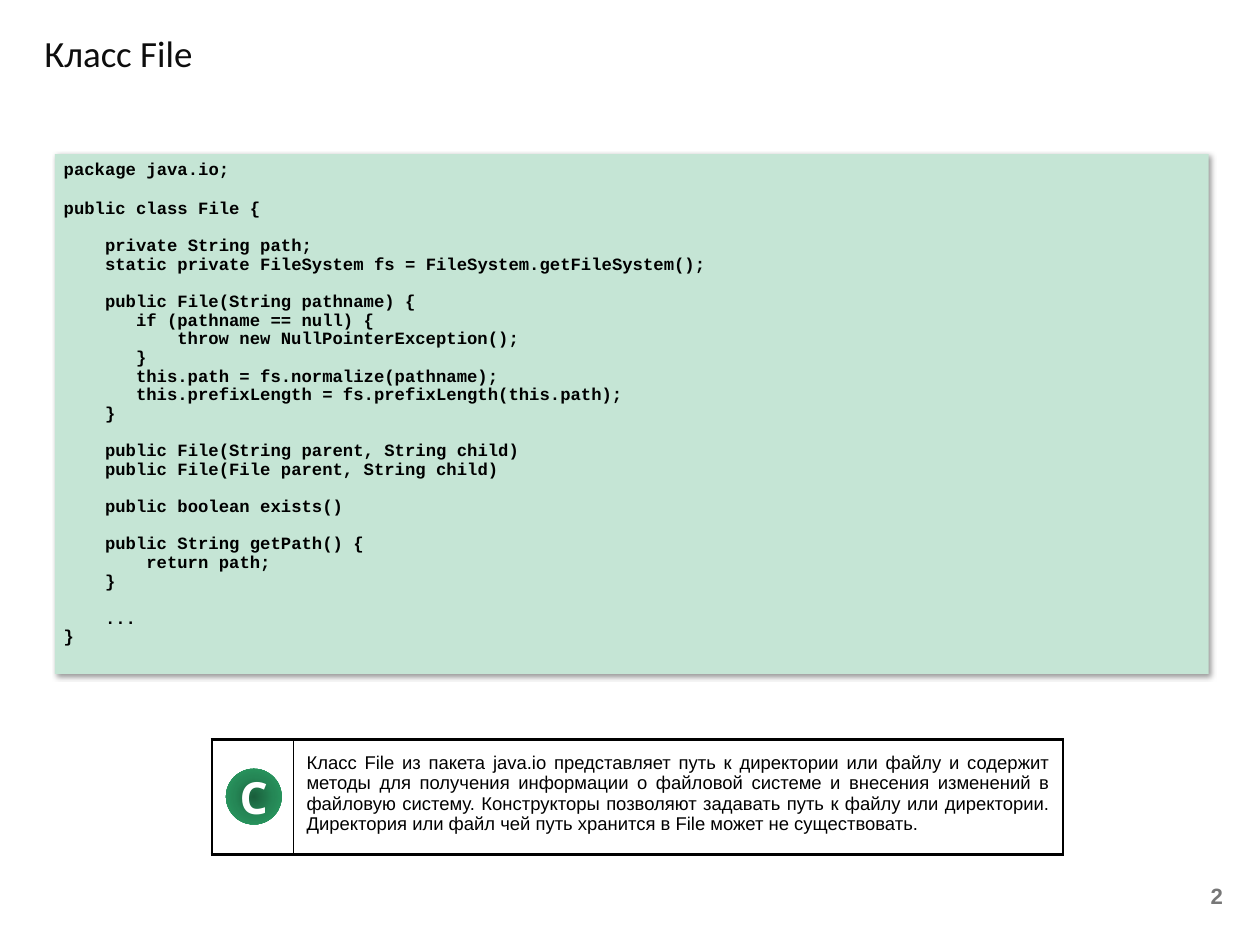
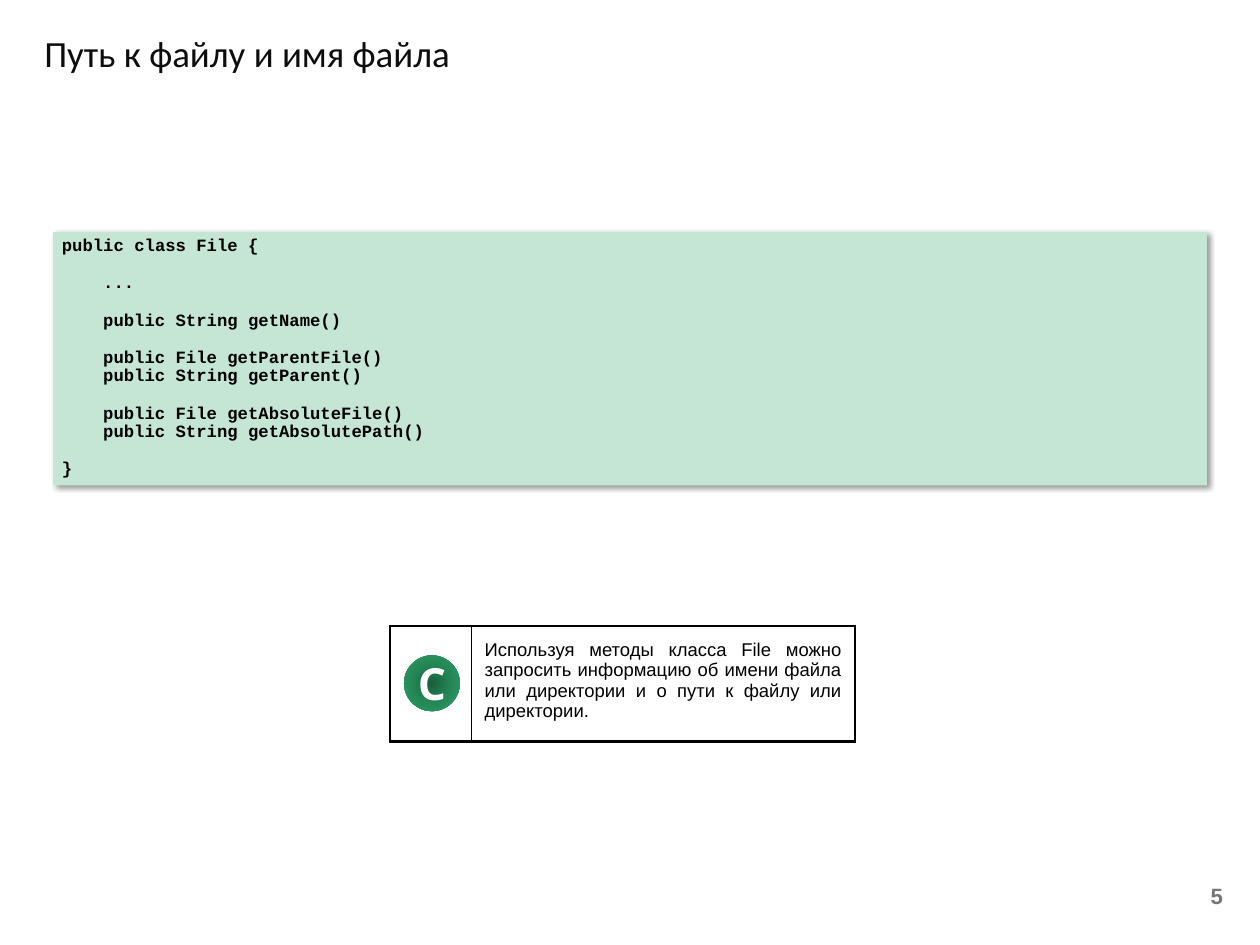
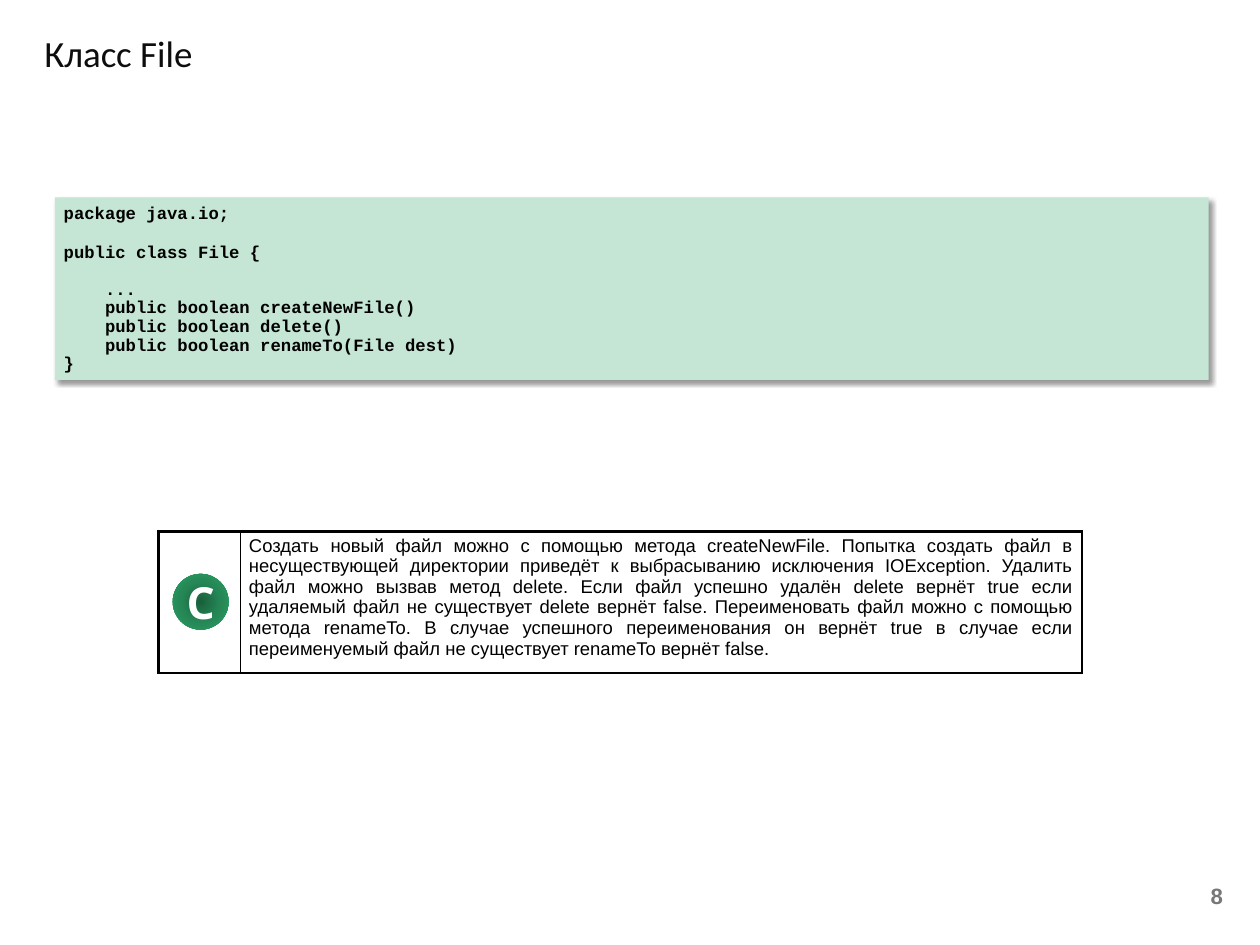
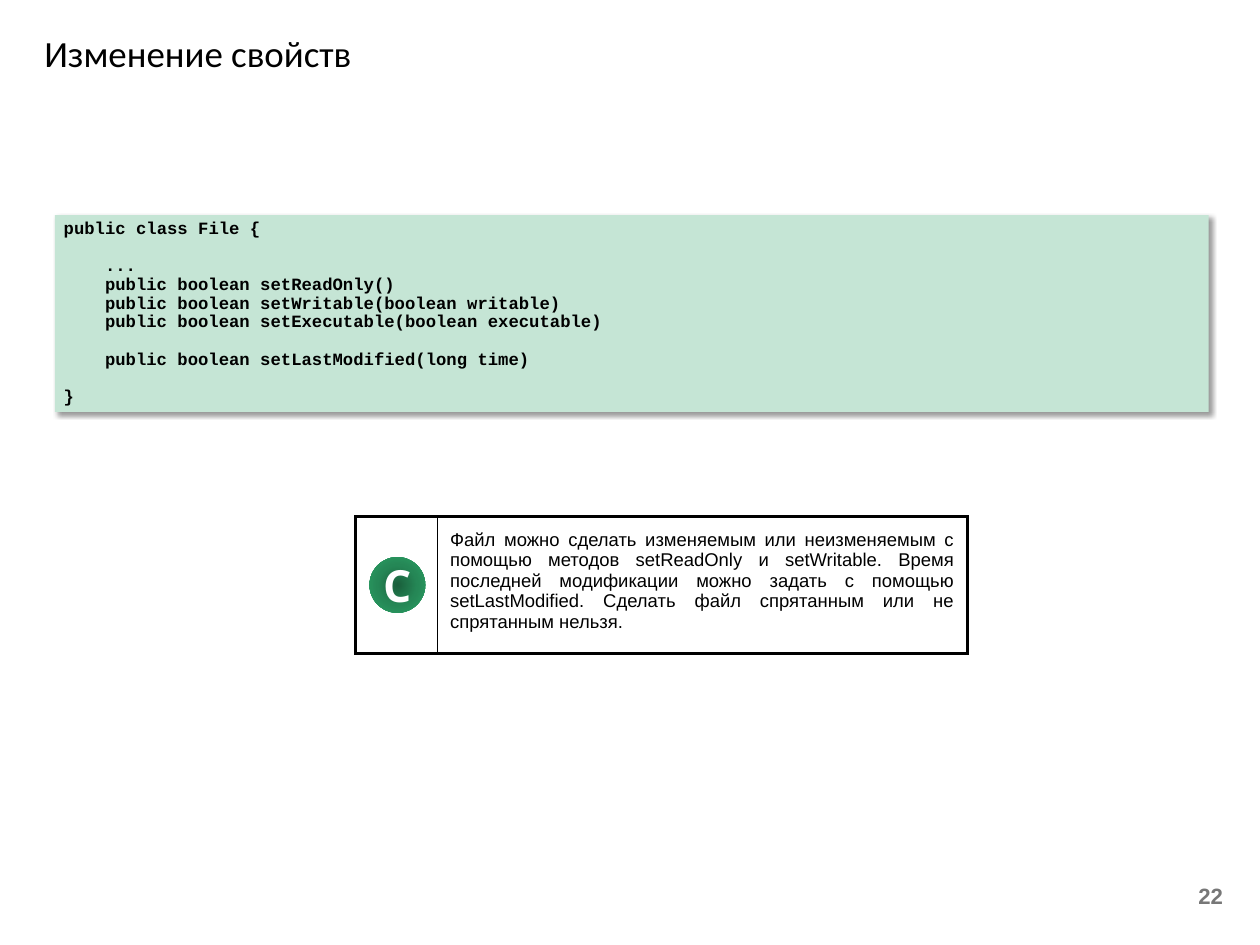
from pptx import Presentation
from pptx.dml.color import RGBColor
from pptx.enum.shapes import MSO_SHAPE as Shape
from pptx.enum.text import MSO_ANCHOR as Anchor, PP_ALIGN as Align
from pptx.oxml import parse_xml
from pptx.oxml.ns import nsdecls, qn
from pptx.util import Emu, Pt

SCALE = 9144  # EMU in one px, 100 px to the inch
COLORS = {
    "black": "000000", "title": "0D0D0D", "white": "FFFFFF", "number": "777777",
    "code": "C5E5D5", "dark": "1A5F3C", "middle": "258756", "light": "2BA166",
}
CODE_LINE = 15.15  # points from one code line to the next
CODE_CHAR = 8.4    # width of one code character, points
ICON_COLUMN, ICON_SIZE = 92, 63


def px(*lengths):
    return [Emu(length * SCALE) for length in lengths]


def rgb(name):
    return RGBColor.from_string(COLORS[name])


def write(para, text, font="Arial", size=15, color="black", bold=False, align=Align.LEFT):
    para.alignment = align
    span = para.add_run()
    span.text = text
    span.font.name, span.font.size, span.font.bold = font, Pt(size), bold
    span.font.color.rgb = rgb(color)


def set_insets(item, side, top):
    item.margin_left = item.margin_right = px(side)[0]
    item.margin_top = item.margin_bottom = px(top)[0]


def set_borders(cell, **widths):
    for side in "LRTB":
        cell._tc.get_or_add_tcPr().append(parse_xml(
            f'<a:ln{side} {nsdecls("a")} w="{Pt(widths[side])}"><a:solidFill>'
            f'<a:srgbClr val="{COLORS["black"]}"/></a:solidFill></a:ln{side}>'))


class Lesson:
    """Holds the deck, its shared style and the current page."""

    def __init__(self):
        self.deck = Presentation()
        self.deck.slide_width, self.deck.slide_height = px(1422, 1067)
        self.page = None

    def start(self, title, number, color="title"):
        self.page = self.deck.slides.add_slide(self.deck.slide_layouts[5])
        self.page.background.fill.solid()
        self.page.background.fill.fore_color.rgb = rgb("white")
        box = self.page.shapes.title
        box.left, box.top, box.width, box.height = px(40, 30, 1103, 63)
        box.text_frame.vertical_anchor = Anchor.TOP
        write(box.text_frame.paragraphs[0], title, font="Calibri", size=30, color=color)
        # page number
        frame = self.page.shapes.add_textbox(*px(1058, 985, 332, 53)).text_frame
        frame.word_wrap = True
        frame.vertical_anchor = Anchor.MIDDLE
        write(frame.paragraphs[0], str(number), size=18, color="number", bold=True,
              align=Align.RIGHT)

    def shape(self, kind, left, top, width, height, fill):
        box = self.page.shapes.add_shape(kind, *px(left, top, width, height))
        box.fill.solid()
        box.fill.fore_color.rgb = rgb(fill)
        box.line.fill.background()
        box.shadow.inherit = False
        return box

    def code(self, left, top, height, listing):
        """Indents become paragraph margins, empty lines become space before."""
        box = self.shape(Shape.RECTANGLE, left, top, 1302, height, "code")
        box._element.spPr.find(qn("a:effectLst")).append(parse_xml(
            f'<a:outerShdw {nsdecls("a")} blurRad="{Pt(4)}" dist="{Pt(3)}" dir="2700000" '
            f'algn="tl" rotWithShape="0"><a:srgbClr val="{COLORS["black"]}">'
            '<a:alpha val="40000"/></a:srgbClr></a:outerShdw>'))
        frame = box.text_frame
        frame.word_wrap = True
        frame.vertical_anchor = Anchor.TOP
        para, gap = None, 0
        for line in listing.strip().splitlines():
            text = line.strip()
            if not text:
                gap += CODE_LINE
                continue
            para = frame.add_paragraph() if para else frame.paragraphs[0]
            para.line_spacing, para.space_before = Pt(CODE_LINE), Pt(gap)
            gap = 0
            if text.startswith("package"):
                para.line_spacing, gap = 1.0, 1.4
            properties = para._p.get_or_add_pPr()
            properties.set("marL", str(Pt((len(line) - len(text)) * CODE_CHAR)))
            properties.set("indent", "0")
            write(para, text, font="Courier New", size=14, bold=True)

    def note(self, left, top, width, height, text, insets=(15, 15)):
        """A two-cell table: the class icon and its explanation."""
        holder = self.page.shapes.add_table(1, 2, *px(left, top, width, height))
        table = holder.table
        table.first_row = table.horz_banding = False
        table.columns[0].width, table.columns[1].width = px(ICON_COLUMN, width - ICON_COLUMN)
        icon_cell, text_cell = table.cell(0, 0), table.cell(0, 1)
        set_borders(icon_cell, L=2.25, R=0.5, T=2.25, B=2.25)
        set_borders(text_cell, L=0.5, R=2.25, T=2.25, B=2.25)
        for cell in (icon_cell, text_cell):
            cell.fill.solid()
            cell.fill.fore_color.rgb = rgb("white")
        set_insets(text_cell, *insets)
        write(text_cell.text_frame.paragraphs[0], text, align=Align.JUSTIFY)
        self.icon(left + 16, top + (height - ICON_SIZE) // 2)

    def icon(self, left, top):
        ball = self.shape(Shape.OVAL, left, top, ICON_SIZE, ICON_SIZE, "middle")
        stops = "".join(
            f'<a:gs pos="{place}"><a:srgbClr val="{COLORS[name]}"/></a:gs>'
            for place, name in ((0, "dark"), (50000, "middle"), (100000, "light")))
        properties = ball._element.spPr
        properties.replace(properties.find(qn("a:solidFill")), parse_xml(
            f'<a:gradFill {nsdecls("a")} rotWithShape="1"><a:gsLst>{stops}</a:gsLst>'
            '<a:path path="circle"><a:fillToRect l="50000" t="50000" r="50000" b="50000"/>'
            '</a:path></a:gradFill>'))
        frame = ball.text_frame
        set_insets(frame, 0, 0)
        frame.word_wrap = False
        frame.vertical_anchor = Anchor.MIDDLE
        write(frame.paragraphs[0], "C", font="Open Sans", size=36, color="white", bold=True,
              align=Align.CENTER)


FILE_CLASS = """
package java.io;

public class File {

    private String path;
    static private FileSystem fs = FileSystem.getFileSystem();

    public File(String pathname) {
       if (pathname == null) {
           throw new NullPointerException();
       }
       this.path = fs.normalize(pathname);
       this.prefixLength = fs.prefixLength(this.path);
    }

    public File(String parent, String child)
    public File(File parent, String child)

    public boolean exists()

    public String getPath() {
        return path;
    }

    ...
}
"""

NAME_METHODS = """
public class File {

    ...

    public String getName()

    public File getParentFile()
    public String getParent()

    public File getAbsoluteFile()
    public String getAbsolutePath()

}
"""

CHANGE_METHODS = """
package java.io;

public class File {

    ...
    public boolean createNewFile()
    public boolean delete()
    public boolean renameTo(File dest)
}
"""

PROPERTY_METHODS = """
public class File {

    ...
    public boolean setReadOnly()
    public boolean setWritable(boolean writable)
    public boolean setExecutable(boolean executable)

    public boolean setLastModified(long time)

}
"""


def main():
    lesson = Lesson()

    # The File class
    lesson.start("Класс File", 2)
    lesson.code(62, 174, 587, FILE_CLASS)
    lesson.note(239, 835, 961, 130,
                "Класс File из пакета java.io представляет путь к директории или файлу и "
                "содержит методы для получения информации о файловой системе и внесения "
                "изменений в файловую систему. Конструкторы позволяют задавать путь к файлу "
                "или директории. Директория или файл чей путь хранится в File может не "
                "существовать.")

    # Path and name
    lesson.start("Путь к файлу и имя файла", 5)
    lesson.code(60, 262, 286, NAME_METHODS)
    lesson.note(440, 707, 525, 130,
                "Используя методы класса File можно запросить информацию об имени файла или "
                "директории и о пути к файлу или директории.")

    # Creating, deleting, renaming
    lesson.start("Класс File", 8)
    lesson.code(62, 223, 206, CHANGE_METHODS)
    lesson.note(179, 600, 1042, 160,
                "Создать новый файл можно с помощью метода createNewFile. Попытка создать файл "
                "в несуществующей директории приведёт к выбрасыванию исключения IOException. "
                "Удалить файл можно вызвав метод delete. Если файл успешно удалён delete "
                "вернёт true если удаляемый файл не существует delete вернёт false. "
                "Переименовать файл можно с помощью метода renameTo. В случае успешного "
                "переименования он вернёт true в случае если переименуемый файл не существует "
                "renameTo вернёт false.", insets=(10, 5))

    # Changing properties
    lesson.start("Изменение свойств", 22, color="black")
    lesson.code(62, 243, 222, PROPERTY_METHODS)
    lesson.note(401, 583, 691, 155,
                "Файл можно сделать изменяемым или неизменяемым с помощью методов setReadOnly "
                "и setWritable. Время последней модификации можно задать с помощью "
                "setLastModified. Сделать файл спрятанным или не спрятанным нельзя.")

    lesson.deck.save("out.pptx")


if __name__ == "__main__":
    main()
